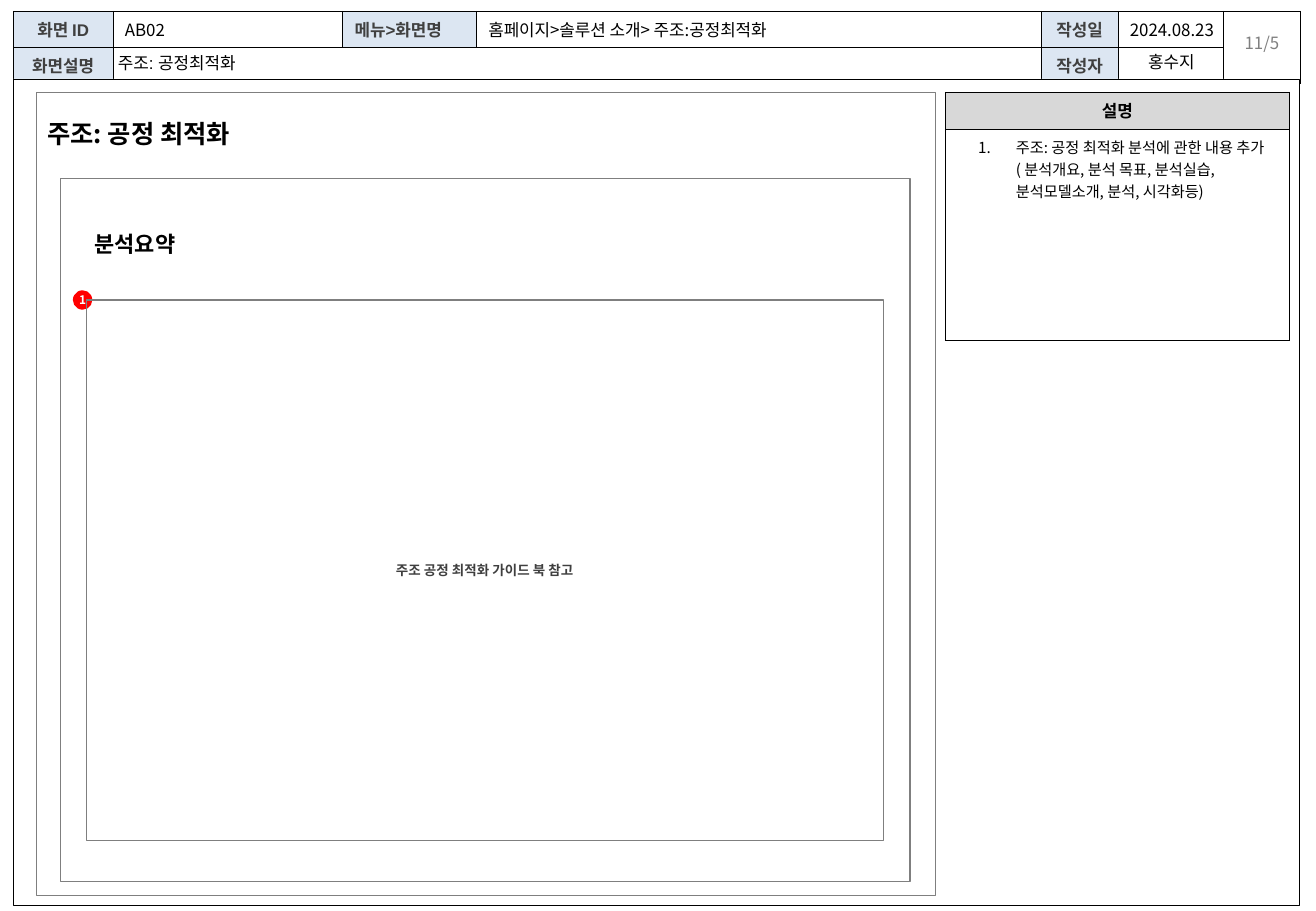
from itertools import accumulate
from lxml.etree import SubElement as Sub
from pptx import Presentation
from pptx.dml.color import RGBColor as Rgb
from pptx.enum.shapes import MSO_SHAPE as Kind
from pptx.enum.text import MSO_ANCHOR as Anchor, MSO_AUTO_SIZE as Fit, PP_ALIGN as Align
from pptx.oxml.ns import qn
from pptx.util import Inches, Pt

UNIT = Inches(0.01)
COLS, ROWS = 1083, 750
KR, LATIN = "Noto Sans CJK KR", "Arial"
HUE = {"ink": "000000", "label": "404040", "note": "3F3F3F", "page": "808080",
       "edge": "7F7F7F", "tint": "DCE6F2", "head": "D8D8D8", "mark": "FF0000",
       "white": "FFFFFF"}
PAD = (10, 5, 10, 5)
FLUSH = (0, 5, 10, 5)


def rgb(name):
    return Rgb.from_string(HUE[name])


def units(nums):
    return [round(n * UNIT) for n in nums]


def apply(item, form):
    for key, value in form.items():
        setattr(item, key, value)


def inset(host, pad, anchor):
    sides = ("margin_left", "margin_top", "margin_right", "margin_bottom")
    apply(host, dict(zip(sides, units(pad)), vertical_anchor=anchor))


def write(frame, text, size=10, hue="ink", bold=False, face=KR, align=Align.LEFT):
    para = frame.paragraphs[0]
    para.alignment = align
    run = para.add_run()
    run.text = text
    apply(run.font, {"name": face, "size": Pt(size), "bold": bold})
    run.font.color.rgb = rgb(hue)
    Sub(run._r.get_or_add_rPr(), qn("a:ea"), typeface=KR)
    return para


def label(slide, box, text, pad=PAD, **form):
    frame = slide.shapes.add_textbox(*units(box)).text_frame
    apply(frame, {"word_wrap": True, "auto_size": Fit.SHAPE_TO_FIT_TEXT})
    inset(frame, pad, Anchor.TOP)
    write(frame, text, **form)


def panel(slide, box, kind=Kind.RECTANGLE, fill=None, line="edge", width=0.75):
    shape = slide.shapes.add_shape(kind, *units(box))
    shape.shadow.inherit = False
    if fill:
        shape.fill.solid()
        shape.fill.fore_color.rgb = rgb(fill)
    else:
        shape.fill.background()
    if line:
        shape.line.color.rgb = rgb(line)
        shape.line.width = Pt(width)
    else:
        shape.line.fill.background()
    return shape


def caption(shape, text, pad, **form):
    frame = shape.text_frame
    frame.word_wrap = True
    inset(frame, pad, Anchor.MIDDLE)
    write(frame, text, align=Align.CENTER, **form)


def paint(cell, fill, width):
    props = cell._tc.get_or_add_tcPr()
    for side in ("lnL", "lnR", "lnT", "lnB"):
        edge = Sub(props, qn(f"a:{side}"), w=str(Pt(width)))
        Sub(Sub(edge, qn("a:solidFill")), qn("a:srgbClr"), val=HUE["ink"])
    cell.fill.solid()
    cell.fill.fore_color.rgb = rgb(fill)


def grid(slide, box, cols, rows, width):
    table = slide.shapes.add_table(len(rows), len(cols), *units(box)).table
    apply(table, {"first_row": False, "horz_banding": False})
    for col, size in zip(table.columns, units(cols)):
        col.width = size
    for row, size in zip(table.rows, units(rows)):
        row.height = size
    for cell in table.iter_cells():
        paint(cell, "white", width)
    return table


def header(slide, box):
    left, top, wide, high = box
    cols = (82, 189, 110, 465, 63, 87, 63)
    table = grid(slide, box, cols, (high / 2,) * 2, 0.25)
    table.cell(0, 6).merge(table.cell(1, 6))
    table.cell(1, 1).merge(table.cell(1, 3))
    names = {(0, 0): "화면 ID", (0, 2): "메뉴>화면명", (0, 4): "작성일",
             (1, 0): "화면설명", (1, 4): "작성자"}
    for row in range(2):
        for col in range(len(cols)):
            cell = table.cell(row, col)
            if (row, col) in names:
                cell.fill.fore_color.rgb = rgb("tint")
                inset(cell, PAD, Anchor.MIDDLE)
                write(cell.text_frame, names[row, col], hue="label", bold=True, face=LATIN,
                      align=Align.LEFT if col == 2 else Align.CENTER)
            else:
                Sub(cell.text_frame.paragraphs[0]._p, qn("a:endParaRPr"), sz="800")
    edges = [left + x for x in accumulate(cols, initial=0)]
    label(slide, (edges[6], top + 13, cols[6], 27), "11/5", hue="page", align=Align.CENTER)
    return edges


def entries(slide, box, edges):
    top, high = box[1], box[3]
    low = top + high / 2
    title = slide.shapes.title
    title.element.getparent().append(title.element)
    place = units((edges[1], low, 676, high / 2))
    apply(title, dict(zip(("left", "top", "width", "height"), place)))
    apply(title.text_frame, {"word_wrap": True, "auto_size": Fit.NONE})
    inset(title.text_frame, (4, 5, 0, 5), Anchor.TOP)
    write(title.text_frame, "주조: 공정최적화", face=LATIN)
    for x, y, wide, text in (
            (edges[1], top + 2, 79, "AB02"),
            (edges[3], top + 2, 362, "홈페이지>솔루션 소개> 주조:공정최적화"),
            (edges[5], top + 2, 94, "2024.08.23"),
            (edges[5] + 15, low, 79, "홍수지")):
        label(slide, (x, y, wide, 27), text)


def notes(slide, box):
    table = grid(slide, box, (box[2],), (31, box[3] - 31), 0.75)
    head, body = table.cell(0, 0), table.cell(1, 0)
    head.fill.fore_color.rgb = rgb("head")
    inset(head, PAD, Anchor.TOP)
    write(head.text_frame, "설명", bold=True, align=Align.CENTER)
    inset(body, (8, 5, 8, 5), Anchor.TOP)
    para = write(body.text_frame, "주조: 공정 최적화 분석에 관한 내용 추가( 분석개요, 분석 목표, "
                 "분석실습, 분석모델소개, 분석, 시각화등)", size=9)
    props = para._p.get_or_add_pPr()
    props.set("marL", str(50 * UNIT))
    props.set("indent", str(-31 * UNIT))
    Sub(props, qn("a:buAutoNum"), type="arabicPeriod")


def screen(slide, box):
    left, top, wide, high = box
    panel(slide, box)
    label(slide, (left + 9, top + 16, 273, 35), "주조: 공정 최적화", FLUSH, size=15, bold=True)
    panel(slide, (left + 20, top + 71, wide - 41, high - 82))
    dot = panel(slide, (left + 30, top + 163, 16, 16), Kind.OVAL, "mark", None)
    caption(dot, "1", (0, 5, 0, 5), size=7, hue="white", bold=True)
    label(slide, (left + 48, top + 109, 117, 32), "분석요약", FLUSH, size=13, bold=True)
    guide = panel(slide, (left + 41, top + 171, wide - 84, high - 216))
    caption(guide, "주조 공정 최적화 가이드 북 참고", (8, 6, 8, 6), size=8, hue="note", bold=True)


def main():
    deck = Presentation()
    wide, high = units((COLS, ROWS))
    apply(deck, {"slide_width": wide, "slide_height": high})
    slide = deck.slides.add_slide(deck.slide_layouts[5])
    band = (11, 9, 1058, 58)
    edges = header(slide, band)
    panel(slide, (11, 65, 1058, 680), fill="white", line="ink", width=0.25)
    entries(slide, band, edges)
    notes(slide, (778, 76, 283, 204))
    screen(slide, (30, 76, 740, 661))
    deck.save("out.pptx")


if __name__ == "__main__":
    main()
